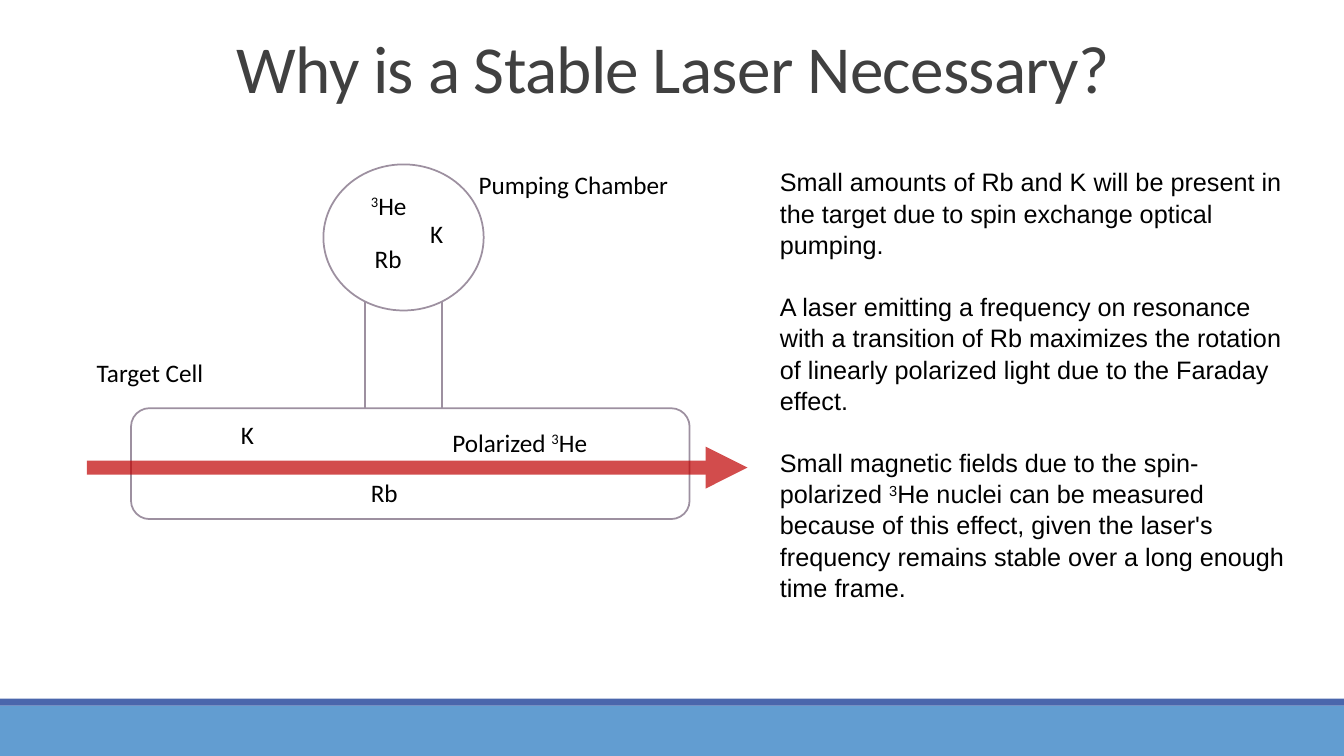
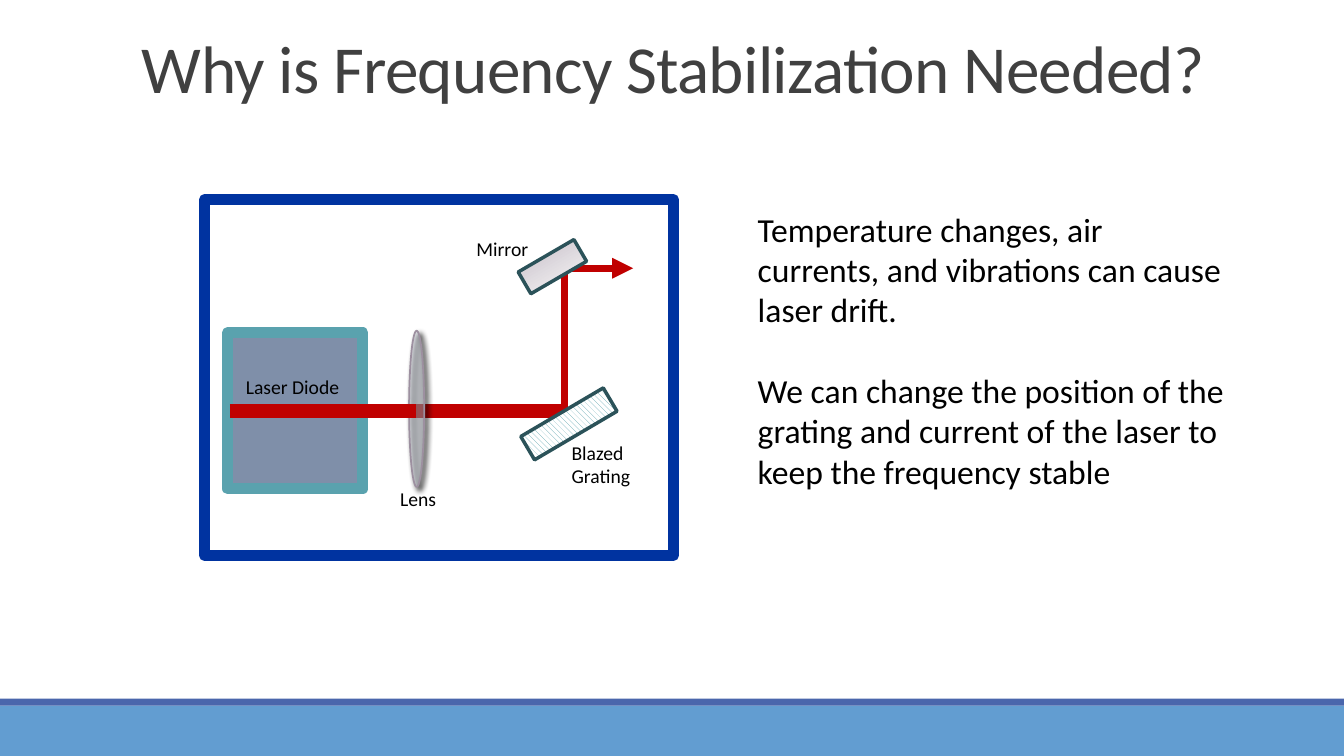
from copy import deepcopy
from lxml.etree import SubElement as Sub
from pptx import Presentation
from pptx.dml.color import RGBColor as RGB
from pptx.enum.dml import MSO_PATTERN as Pat
from pptx.enum.shapes import MSO_CONNECTOR as Conn, MSO_SHAPE as Kind
from pptx.enum.text import PP_ALIGN as Align
from pptx.oxml.ns import qn
from pptx.util import Pt

WIDE, HIGH = 960, 540
COLORS = {
    "title": "404040", "text": "000000", "white": "FFFFFF",
    "band": "629DD1", "stripe": "4A66AC",
    "beam": "C00000", "glass": "9D90A0", "edge": "2B5259",
    "frame": "0033A0", "diode": "7F8FA9", "case": "5AA2AE",
    "lens": "CCD2DD", "light": "FAF9FA", "mid": "D3CDD4", "pale": "E2DEE2",
}


def hue(name):
    """Look up a colour by name."""
    return RGB.from_string(COLORS[name])


def fade(node, part):
    """Give every solid colour under node an opacity in percent."""
    for clr in node.iter(qn("a:srgbClr")):
        Sub(clr, qn("a:alpha"), val=str(part * 1000))


def shape(slide, kind, box, fill=None, line=None, width=1.25, turn=0):
    """Add a preset shape with plain fill and line."""
    item = slide.shapes.add_shape(kind, *map(Pt, box))
    item.shadow.inherit = False
    item.rotation = turn
    if fill:
        item.fill.solid()
        item.fill.fore_color.rgb = hue(fill)
    else:
        item.fill.background()
    if line:
        item.line.color.rgb = hue(line)
        item.line.width = Pt(width)
    else:
        item.line.fill.background()
    return item


def beam(slide, start, end, width, arrow=False, part=100):
    """Add a laser beam, with an arrowhead if wanted."""
    item = slide.shapes.add_connector(Conn.STRAIGHT, *map(Pt, start + end))
    item.line.color.rgb = hue("beam")
    item.line.width = Pt(width)
    props = item._element.spPr
    line = props.find(qn("a:ln"))
    if part < 100:
        fade(line, part)
    if arrow:
        Sub(line, qn("a:tailEnd"), type="triangle")
    Sub(props, qn("a:effectLst"))


def text(slide, box, lines, size, font="Calibri", color="text", gap=0, space=1):
    """Add wrapped paragraphs; text between carets is superscript."""
    item = slide.shapes.add_textbox(*map(Pt, box))
    frame = item.text_frame
    frame.word_wrap = True
    for i, line in enumerate(lines):
        para = frame.paragraphs[0] if i == 0 else frame.add_paragraph()
        para.line_spacing = space
        para.space_before = Pt(gap if i else 0)
        for j, part in enumerate(line.split("^")):
            if not part:
                continue
            run = para.add_run()
            run.text = part
            run.font.size, run.font.name = Pt(size), font
            run.font.color.rgb = hue(color)
            if j % 2:
                run.font._element.set("baseline", "30000")
    return frame


def base(deck, title):
    """Add a slide with the shared bands and title."""
    slide = deck.slides.add_slide(deck.slide_layouts[6])
    shape(slide, Kind.RECTANGLE, (0, 504, WIDE, 36), "band")
    shape(slide, Kind.RECTANGLE, (0, 499, WIDE, 5), "stripe")
    frame = text(slide, (85, 23.8, 792, 51.8), [title], 48, color="title", space=0.85)
    para = frame.paragraphs[0]
    para.alignment = Align.CENTER
    para.runs[0].font._element.set("spc", "-50")
    return slide


def cell(slide, box):
    """Draw the target cell below its pumping chamber."""
    x, y, w, h = box
    for kind, part in (
        (Kind.RECTANGLE, (x + 198.6, y + 91.4, 55.4, 125.3)),
        (Kind.OVAL, (x + 169, y, 114.5, 104.4)),
        (Kind.ROUNDED_RECTANGLE, (x + 31.6, y + h - 79.2, 399, 79.2)),
    ):
        shape(slide, kind, part, "white", "glass")
    mid = y + 216.6
    beam(slide, (x, mid), (x + w, mid), 10, True, 70)
    for label, dx, dy, wide in (
        ("Target Cell", 0, 134, 117), ("Pumping Chamber", 272.8, 0, 163),
        ("^3^He", 195.8, 15, 43), ("K", 238.2, 35.2, 39),
        ("Rb", 198.6, 53.2, 39), ("K", 103, 178.6, 39),
        ("Polarized ^3^He", 254, 184.3, 143), ("Rb", 195.8, 220.3, 39),
    ):
        text(slide, (x + dx, y + dy, wide, 29), [label], 18)


def mirror(slide, box):
    """Draw the tilted mirror with its sheen."""
    item = shape(slide, Kind.RECTANGLE, box, "white", "edge", 2.5, 149.8)
    item.fill.gradient()
    item.fill.gradient_angle = 270
    stops = item._element.spPr.find(".//" + qn("a:gsLst"))
    for stop in list(stops)[:2]:
        stops.append(deepcopy(stop))
    tones = ((0, "light"), (0.74, "mid"), (0.83, "mid"), (1, "pale"))
    for stop, (place, name) in zip(item.fill.gradient_stops, tones):
        stop.position = place
        stop.color.rgb = hue(name)


def lens(slide, box):
    """Draw the clear lens and its soft shadow."""
    item = shape(slide, Kind.OVAL, box, "lens", "glass")
    props = item._element.spPr
    fade(props.find(qn("a:solidFill")), 40)
    shade = Sub(props.find(qn("a:effectLst")), qn("a:outerShdw"),
                blurRad=str(Pt(4)), dist=str(Pt(3)), dir="2700000")
    Sub(shade, qn("a:srgbClr"), val=COLORS["text"])
    fade(shade, 40)


def optics(slide, box):
    """Draw the laser from diode to mirror inside its housing."""
    x, y, w, h = box
    top, low = y + 49, y + 151.2
    bend, mid = x + 257, x + 151.2
    beam(slide, (bend, top), (bend, low + 3.6), 5)
    beam(slide, (bend - 1.4, top), (x + 306, top), 5, True)
    mirror(slide, (x + 225.3, y + 38.9, 46.1, 18))
    beam(slide, (mid, low), (bend, low), 10)
    shape(slide, Kind.RECTANGLE, box, None, "frame", 8)
    shape(slide, Kind.RECTANGLE, (x + 16.5, y + 95, 96.5, 111.6), "diode", "case", 8)
    lens(slide, (x + 146, y + 93.6, 10.8, 111.6))
    grate = shape(slide, Kind.RECTANGLE, (x + 226, y + 150.5, 68.4, 19.4),
                  None, "edge", 2.5, 329.5)
    grate.fill.patterned()
    grate.fill.pattern = Pat.WIDE_DOWNWARD_DIAGONAL
    grate.fill.fore_color.rgb = hue("case")
    grate.fill.back_color.rgb = hue("white")
    beam(slide, (x + 18, low), (mid, low), 10)
    for lines, dx, dy in (
        (["Lens"], 132.5, 201.6), (["Laser Diode"], 22.3, 121.7),
        (["Mirror"], 187, 23), (["Blazed", "Grating"], 255, 168.5),
    ):
        text(slide, (x + dx, y + dy, 100, 24 * len(lines)), lines, 14)


def main():
    """Build and save the deck."""
    deck = Presentation()
    deck.slide_width, deck.slide_height = Pt(WIDE), Pt(HIGH)

    slide = base(deck, "Why is a Stable Laser Necessary?")
    cell(slide, (62, 117.4, 472, 253.4))
    text(slide, (550, 114.5, 383, 356.4), [
        "Small amounts of Rb and K will be present in the target due to spin "
        "exchange optical pumping.",
        "A laser emitting a frequency on resonance with a transition of Rb "
        "maximizes the rotation of linearly polarized light due to the Faraday effect.",
        "Small magnetic fields due to the spin-polarized ^3^He nuclei can be "
        "measured because of this effect, given the laser's frequency remains "
        "stable over a long enough time frame.",
    ], 18, "Arial", gap=21.6, space=1.04)

    slide = base(deck, "Why is Frequency Stabilization Needed?")
    optics(slide, (146.2, 142.6, 334.8, 254.2))
    text(slide, (534.2, 145.4, 352, 211), [
        "Temperature changes, air currents, and vibrations can cause laser drift.",
        "We can change the position of the grating and current of the laser to "
        "keep the frequency stable",
    ], 24, gap=29)

    deck.save("out.pptx")


main()
